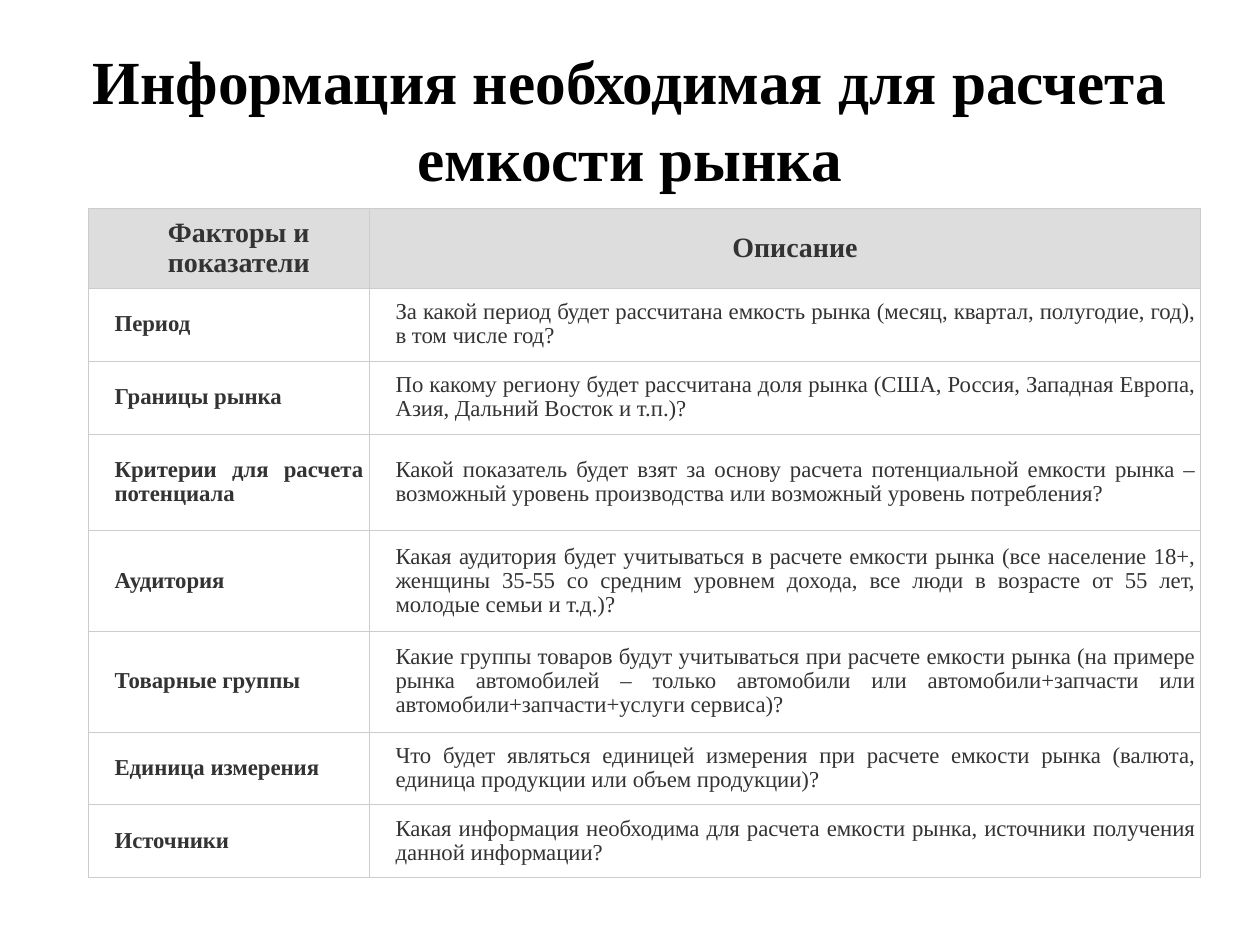
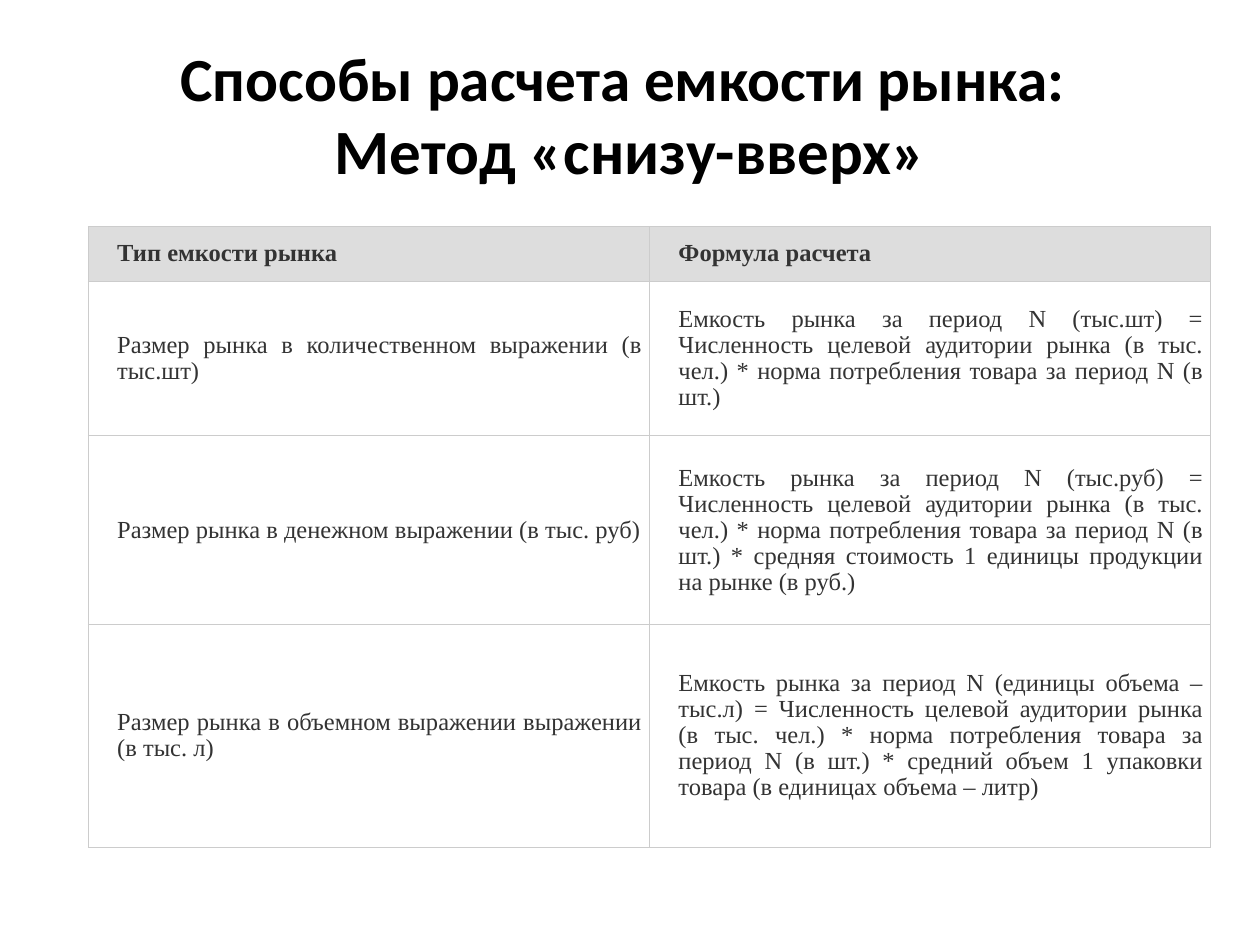
import lxml.etree
import pptx
import pptx.dml.color
import pptx.enum.text
import pptx.oxml.ns
import pptx.util

SLIDE_WIDTH = pptx.util.Inches(10)
SLIDE_HEIGHT = pptx.util.Inches(7.5)
SERIF = "Times New Roman"
SANS = "Calibri"
TITLE_COLOR = "000000"
TEXT_COLOR = "333333"
HEADER_FILL = "DDDDDD"
GRID_COLOR = "CCCCCC"
TITLE_BOX = (5, 4, 90, 16.7)
CENTER = pptx.enum.text.PP_ALIGN.CENTER
JUSTIFY = pptx.enum.text.PP_ALIGN.JUSTIFY
MIDDLE = pptx.enum.text.MSO_ANCHOR.MIDDLE

FACTORS = [
    ("Факторы и показатели", "Описание"),
    ("Период",
     "За какой период будет рассчитана емкость рынка (месяц, квартал, полугодие, год), в том числе год?"),
    ("Границы рынка",
     "По какому региону будет рассчитана доля рынка (США, Россия, Западная Европа, Азия, "
     "Дальний Восток и т.п.)?"),
    ("Критерии для расчета потенциала",
     "Какой показатель будет взят за основу расчета потенциальной емкости рынка – возможный "
     "уровень производства или возможный уровень потребления?"),
    ("Аудитория",
     "Какая аудитория будет учитываться в расчете емкости рынка (все население 18+, женщины 35-55 "
     "со средним уровнем дохода, все люди в возрасте от 55 лет, молодые семьи и т.д.)?"),
    ("Товарные группы",
     "Какие группы товаров будут учитываться при расчете емкости рынка (на примере рынка автомобилей "
     "– только автомобили или автомобили+запчасти или автомобили+запчасти+услуги сервиса)?"),
    ("Единица измерения",
     "Что будет являться единицей измерения при расчете емкости рынка (валюта, единица продукции "
     "или объем продукции)?"),
    ("Источники",
     "Какая информация необходима для расчета емкости рынка, источники получения данной информации?"),
]

AUDIENCE_NORM = (
    "Численность целевой аудитории рынка (в тыс. чел.) * норма потребления товара за период N (в шт.)")
FORMULAS = [
    ("Тип емкости рынка", "Формула расчета"),
    ("Размер рынка в количественном выражении (в тыс.шт)",
     f"Емкость рынка за период N (тыс.шт) = {AUDIENCE_NORM}"),
    ("Размер рынка в денежном выражении (в тыс. руб)",
     f"Емкость рынка за период N (тыс.руб) = {AUDIENCE_NORM} "
     "* средняя стоимость 1 единицы продукции на рынке (в руб.)"),
    ("Размер рынка в объемном выражении выражении (в тыс. л)",
     f"Емкость рынка за период N (единицы объема – тыс.л) = {AUDIENCE_NORM} "
     "* средний объем 1 упаковки товара (в единицах объема – литр)"),
]


def rgb(color):
    return pptx.dml.color.RGBColor.from_string(color)


def slide_box(box):
    left, top, width, height = box
    return (int(SLIDE_WIDTH * left / 100), int(SLIDE_HEIGHT * top / 100),
            int(SLIDE_WIDTH * width / 100), int(SLIDE_HEIGHT * height / 100))


def write_text(text_frame, text, sizes, font=SERIF, color=TEXT_COLOR, bold=False,
               align=JUSTIFY, spacing=0.96):
    text_frame.word_wrap = True
    paragraph = text_frame.paragraphs[0]
    paragraph.alignment = align
    paragraph.line_spacing = spacing
    for index, (line, size) in enumerate(zip(text.split("\n"), sizes)):
        if index:
            paragraph.add_line_break()
        run = paragraph.add_run()
        run.text = line
        run.font.size = pptx.util.Pt(size)
        run.font.name = font
        run.font.bold = bold
        run.font.color.rgb = rgb(color)


def add_title(slide, text, sizes, font, spacing):
    text_box = slide.shapes.add_textbox(*slide_box(TITLE_BOX))
    text_box.text_frame.vertical_anchor = MIDDLE
    write_text(text_box.text_frame, text, sizes, font=font, color=TITLE_COLOR,
               bold=True, align=CENTER, spacing=spacing)


def outline_cell(cell):
    properties = cell._tc.get_or_add_tcPr()
    for index, side in enumerate(("lnL", "lnR", "lnT", "lnB")):
        line = lxml.etree.Element(pptx.oxml.ns.qn(f"a:{side}"), w=str(pptx.util.Pt(0.45)))
        fill = lxml.etree.SubElement(line, pptx.oxml.ns.qn("a:solidFill"))
        lxml.etree.SubElement(fill, pptx.oxml.ns.qn("a:srgbClr"), val=GRID_COLOR)
        properties.insert(index, line)


def add_grid_table(slide, box, rows, column_shares, row_shares, margins,
                   header_size, body_size, header_align, bold_labels):
    left, top, width, height = slide_box(box)
    table = slide.shapes.add_table(len(rows), len(column_shares), left, top, width, height).table
    table.first_row = False
    table.horz_banding = False
    for column, share in zip(table.columns, column_shares):
        column.width = int(width * share / sum(column_shares))
    for row, share in zip(table.rows, row_shares):
        row.height = int(height * share / sum(row_shares))
    for row_index, texts in enumerate(rows):
        is_header = row_index == 0
        for column_index, text in enumerate(texts):
            cell = table.cell(row_index, column_index)
            cell.vertical_anchor = MIDDLE
            cell.margin_left, cell.margin_right = map(pptx.util.Inches, margins)
            cell.margin_top = cell.margin_bottom = pptx.util.Inches(0.05)
            if is_header:
                cell.fill.solid()
                cell.fill.fore_color.rgb = rgb(HEADER_FILL)
            else:
                cell.fill.background()
            outline_cell(cell)
            write_text(cell.text_frame, text, [header_size if is_header else body_size],
                       bold=is_header or (bold_labels and column_index == 0),
                       align=header_align if is_header else JUSTIFY)


def build_factors_slide(slide):
    add_title(slide, "Информация необходимая для расчета емкости рынка", [35], SERIF, 1.05)
    add_grid_table(slide, (7, 22, 88.3, 70.9), FACTORS, [2.23, 6.6],
                   [0.64, 0.58, 0.58, 0.77, 0.8, 0.8, 0.58, 0.58], (0.21, 0.05),
                   header_size=16, body_size=13, header_align=CENTER, bold_labels=True)


def build_formulas_slide(slide):
    add_title(slide, "Способы расчета емкости рынка: \nМетод «снизу-вверх»", [35, 36], SANS, 0.97)
    add_grid_table(slide, (7, 24, 89.1, 65.7), FORMULAS, [1, 1],
                   [0.43, 1.23, 1.5, 1.77], (0.23, 0.06),
                   header_size=14, body_size=14, header_align=JUSTIFY, bold_labels=False)


def main():
    presentation = pptx.Presentation()
    presentation.slide_width = SLIDE_WIDTH
    presentation.slide_height = SLIDE_HEIGHT
    for build_slide in (build_factors_slide, build_formulas_slide):
        build_slide(presentation.slides.add_slide(presentation.slide_layouts[6]))
    presentation.save("out.pptx")


if __name__ == "__main__":
    main()
